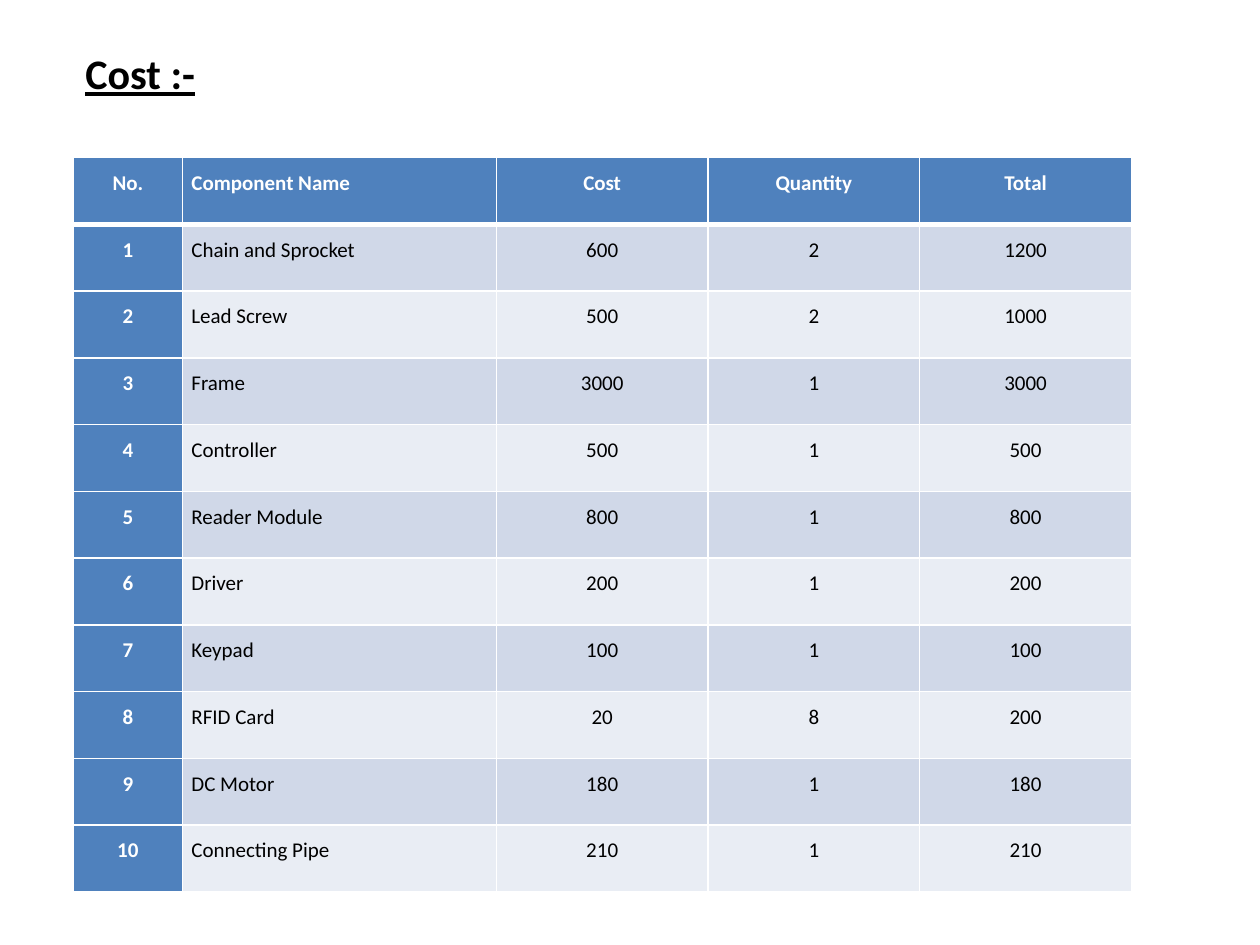
from lxml import etree
from pptx import Presentation
from pptx.dml.color import RGBColor
from pptx.enum.text import MSO_AUTO_SIZE, PP_ALIGN as Align
from pptx.oxml.ns import qn
from pptx.util import Inches, Pt

COLORS = {
    "accent": "4F81BD",
    "band_dark": "D0D8E8",
    "band_light": "E9EDF4",
    "white": "FFFFFF",
    "black": "000000",
}
HEADERS = ["No.", "Component Name", "Cost", "Quantity", "Total"]
COMPONENTS = [
    ("Chain and Sprocket", 600, 2, 1200),
    ("Lead Screw", 500, 2, 1000),
    ("Frame", 3000, 1, 3000),
    ("Controller", 500, 1, 500),
    ("Reader Module", 800, 1, 800),
    ("Driver", 200, 1, 200),
    ("Keypad", 100, 1, 100),
    ("RFID Card", 20, 8, 200),
    ("DC Motor", 180, 1, 180),
    ("Connecting Pipe", 210, 1, 210),
]
COLUMN_WIDTHS = [0.87, 2.49, 1.68, 1.68, 1.68]
ROW_HEIGHT = 0.53
NAME_COLUMN = 1


def add_text(paragraph, text, color, **font_format):
    run = paragraph.add_run()
    run.text = text
    run.font.color.rgb = RGBColor.from_string(COLORS[color])
    for name, value in {"name": "Calibri", **font_format}.items():
        setattr(run.font, name, value)


def add_border(cell, side, points):
    properties = cell._tc.get_or_add_tcPr()
    line = etree.SubElement(properties, qn(f"a:ln{side}"), w=str(Pt(points)))
    fill = etree.SubElement(line, qn("a:solidFill"))
    etree.SubElement(fill, qn("a:srgbClr"), val=COLORS["white"])


presentation = Presentation()
presentation.slide_width = Inches(10)
presentation.slide_height = Inches(7.5)
slide = presentation.slides.add_slide(presentation.slide_layouts[6])

# Cost table
rows = [HEADERS] + [(number, *item) for number, item in enumerate(COMPONENTS, 1)]
table = slide.shapes.add_table(
    len(rows), len(HEADERS), Inches(0.58), Inches(1.25),
    Inches(sum(COLUMN_WIDTHS)), Inches(ROW_HEIGHT * len(rows)),
).table
for column, width in zip(table.columns, COLUMN_WIDTHS):
    column.width = Inches(width)

cell_format = {
    "margin_left": Inches(0.07),
    "margin_right": Inches(0.07),
    "margin_top": 0,
    "margin_bottom": 0,
}
for row_index, values in enumerate(rows):
    table.rows[row_index].height = Inches(ROW_HEIGHT)
    band = "band_dark" if row_index % 2 else "band_light"
    for column_index, value in enumerate(values):
        cell = table.cell(row_index, column_index)
        for name, setting in cell_format.items():
            setattr(cell, name, setting)

        # The rule under the header is thicker than the others
        for side in "LRTB":
            under_header = (row_index, side) in [(0, "B"), (1, "T")]
            add_border(cell, side, 3 if under_header else 1)

        heading = row_index == 0 or column_index == 0
        cell.fill.solid()
        cell.fill.fore_color.rgb = RGBColor.from_string(
            COLORS["accent" if heading else band])

        paragraph = cell.text_frame.paragraphs[0]
        paragraph.line_spacing = 1.5
        paragraph.alignment = (
            Align.LEFT if column_index == NAME_COLUMN else Align.CENTER)
        add_text(paragraph, str(value), "white" if heading else "black",
                 size=Pt(12), bold=heading)

# Title
title = slide.shapes.add_textbox(
    Inches(0.58), Inches(0.33), Inches(3.5), Inches(0.5))
title.text_frame.word_wrap = True
title.text_frame.auto_size = MSO_AUTO_SIZE.SHAPE_TO_FIT_TEXT
add_text(title.text_frame.paragraphs[0], "Cost :-", "black",
         size=Pt(24), bold=True, underline=True)

presentation.save("out.pptx")
